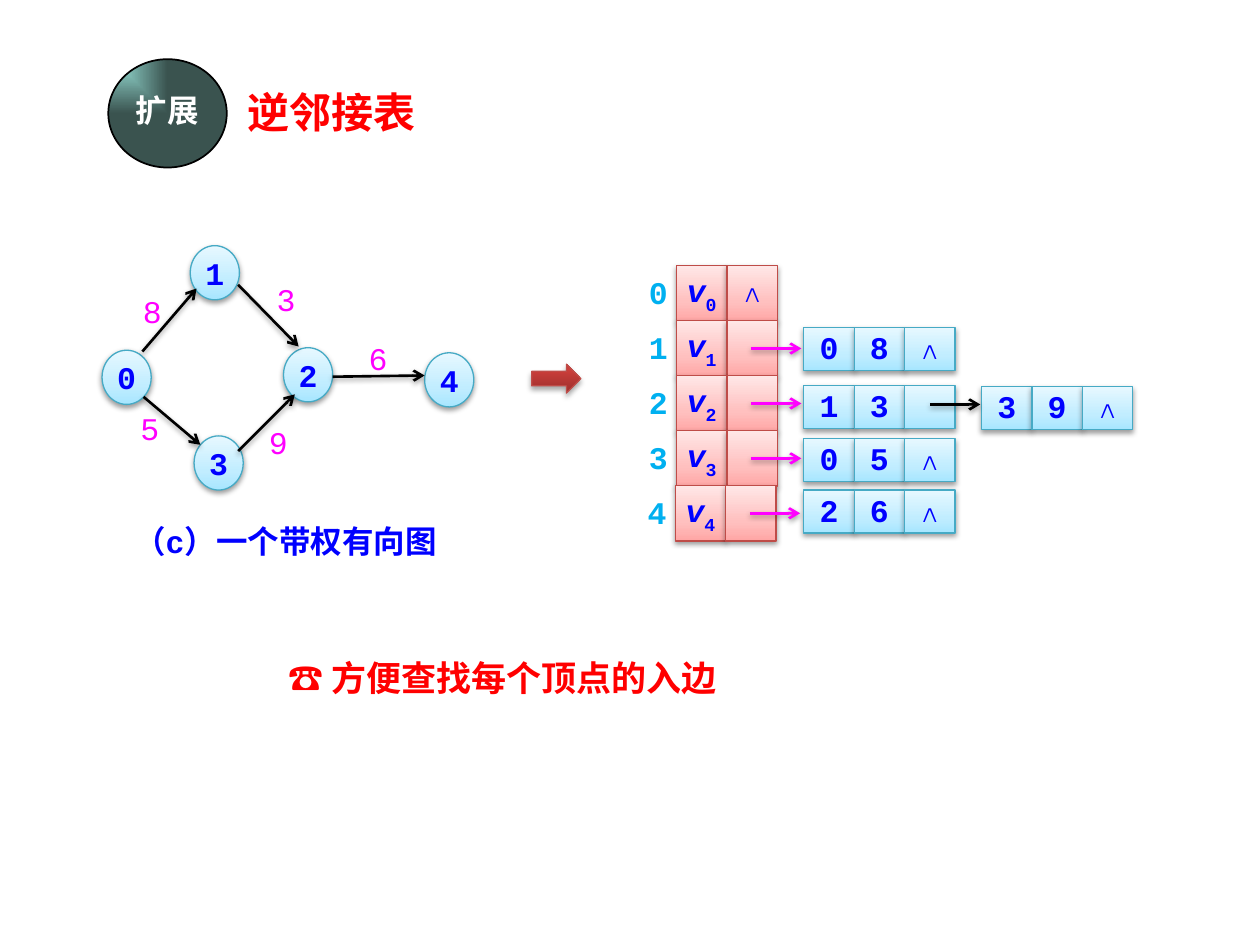
import pptx
import pptx.dml.color
import pptx.enum.shapes
import pptx.enum.text
import pptx.oxml
import pptx.oxml.ns
import pptx.util
from lxml import etree
from pptx.util import Inches

COLORS = {
    "white": "FFFFFF", "black": "000000", "red": "FF0000", "blue": "0000FF",
    "magenta": "FF00FF", "sky": "00B0F0",
    "vertex_line": "BF4C48", "record_line": "46AAC5",
}
GRADIENTS = {
    "vertex": [(0, "FFA6A5"), (35, "FFC0BF"), (100, "FFE7E7")],
    "record": [(0, "A7E6FF"), (35, "C1EDFF"), (100, "E7F8FF")],
    "arrow": [(0, "9C2F2D"), (80, "CB3E3A"), (100, "CE3B37")],
    "badge": [(0, "9CE6DD"), (100, "3A534F")],
}
UPWARD = '<a:lin ang="16200000" scaled="0"/>'
FROM_CORNER = '<a:path path="rect"><a:fillToRect r="100000" b="100000"/></a:path>'
MONO, CJK = "Courier New", "Noto Sans CJK SC"
SHAPES = pptx.enum.shapes.MSO_SHAPE
CENTER = pptx.enum.text.PP_ALIGN.CENTER
NIL = "∧"
CELL_WIDTH, VERTEX_HEIGHT, RECORD_HEIGHT = 0.4, 0.44, 0.34
TABLE_TOP, ROW_PITCH = 2.11, 0.436


def rgb(name):
    return pptx.dml.color.RGBColor.from_string(COLORS[name])


def add_shadow(element, alpha=38, distance=1.6):
    """Put a soft downward shadow on a shape or connector element."""
    properties = element.spPr
    for old in properties.findall(pptx.oxml.ns.qn("a:effectLst")):
        properties.remove(old)
    properties.append(pptx.oxml.parse_xml(
        f'<a:effectLst {pptx.oxml.ns.nsdecls("a")}>'
        f'<a:outerShdw blurRad="{pptx.util.Pt(3.1)}" dist="{pptx.util.Pt(distance)}" '
        f'dir="5400000" rotWithShape="0"><a:srgbClr val="000000">'
        f'<a:alpha val="{alpha * 1000}"/></a:srgbClr></a:outerShdw></a:effectLst>'))


def fill_gradient(shape, stops, direction=UPWARD):
    marks = "".join(f'<a:gs pos="{position * 1000}"><a:srgbClr val="{color}"/></a:gs>'
                    for position, color in stops)
    geometry = shape._element.spPr.find(pptx.oxml.ns.qn("a:prstGeom"))
    geometry.addnext(pptx.oxml.parse_xml(
        f'<a:gradFill {pptx.oxml.ns.nsdecls("a")} rotWithShape="1">'
        f'<a:gsLst>{marks}</a:gsLst>{direction}</a:gradFill>'))


def write_text(shape, text, color="blue", size=18, font=MONO, bold=True, italic=False,
               subscript="", align=CENTER, spacing=None, margins=(0, 0, 0, 0),
               anchor=pptx.enum.text.MSO_ANCHOR.TOP, wrap=True):
    frame = shape.text_frame
    frame.word_wrap = wrap
    frame.vertical_anchor = anchor
    (frame.margin_left, frame.margin_top,
     frame.margin_right, frame.margin_bottom) = map(Inches, margins)
    paragraph = frame.paragraphs[0]
    paragraph.alignment = align
    if spacing:
        paragraph.line_spacing = spacing
    for part, lowered in ((text, False), (subscript, True)):
        if not part:
            continue
        run = paragraph.add_run()
        run.text = part
        run.font.size = pptx.util.Pt(size)
        run.font.name = font
        run.font.bold = bold
        run.font.italic = italic and not lowered
        run.font.color.rgb = rgb(color)
        run_properties = run._r.get_or_add_rPr()
        east_asian = etree.SubElement(run_properties, pptx.oxml.ns.qn("a:ea"))
        east_asian.set("typeface", CJK)
        if lowered:
            run_properties.set("baseline", "-30000")


def add_gradient_shape(slide, kind, box, gradient, line, width=0.75, direction=UPWARD):
    shape = slide.shapes.add_shape(kind, *map(Inches, box))
    fill_gradient(shape, GRADIENTS[gradient], direction)
    shape.line.color.rgb = rgb(line)
    shape.line.width = pptx.util.Pt(width)
    shape.shadow.inherit = False
    return shape


def add_label(slide, box, text, **text_format):
    """Add text on a plain white rectangle."""
    shape = slide.shapes.add_shape(SHAPES.RECTANGLE, *map(Inches, box))
    shape.fill.solid()
    shape.fill.fore_color.rgb = rgb("white")
    shape.line.fill.background()
    shape.shadow.inherit = False
    write_text(shape, text, **text_format)


def add_text_box(slide, box, text, **text_format):
    write_text(slide.shapes.add_textbox(*map(Inches, box)), text, **text_format)


def add_arrow(slide, start, end, color="black"):
    connector = slide.shapes.add_connector(
        pptx.enum.shapes.MSO_CONNECTOR.STRAIGHT, *map(Inches, start + end))
    connector.line.color.rgb = rgb(color)
    connector.line.width = pptx.util.Pt(1.5)
    tail = etree.SubElement(connector.line._get_or_add_ln(), pptx.oxml.ns.qn("a:tailEnd"))
    tail.set("type", "arrow")
    add_shadow(connector._element)


def add_vertex_row(slide, index, left, empty):
    """Add the index, the vertex cell and the pointer cell of one table row."""
    top = TABLE_TOP + index * ROW_PITCH
    add_label(slide, (left - 0.25, top + 0.06, 0.21, 0.28), str(index), color="sky")
    for column, text in enumerate(("v", NIL if empty else "")):
        cell = add_gradient_shape(
            slide, SHAPES.RECTANGLE,
            (left + column * CELL_WIDTH, top, CELL_WIDTH, VERTEX_HEIGHT),
            "vertex", "vertex_line")
        add_shadow(cell._element)
        if text:
            write_text(cell, text, italic=column == 0, margins=(0, 0.04, 0, 0),
                       subscript=str(index) if column == 0 else "")
    if not empty:
        middle = top + VERTEX_HEIGHT / 2
        add_arrow(slide, (left + 0.59, middle), (left + 0.99, middle), "magenta")


def add_record(slide, left, top, texts):
    for column, text in enumerate(texts):
        cell = add_gradient_shape(
            slide, SHAPES.RECTANGLE,
            (left + column * CELL_WIDTH, top, CELL_WIDTH, RECORD_HEIGHT),
            "record", "record_line")
        add_shadow(cell._element)
        if text:
            write_text(cell, text, spacing=pptx.util.Pt(22))


def add_node(slide, left, top, text):
    node = add_gradient_shape(slide, SHAPES.OVAL, (left, top, 0.39, 0.43),
                              "record", "record_line")
    add_shadow(node._element)
    write_text(node, text)


def add_inverse_adjacency_list(slide):
    for index in range(5):
        add_vertex_row(slide, index, 5.36 if index == 4 else 5.37, index == 0)
    for left, top, texts in ((6.38, 2.6, ("0", "8", NIL)), (6.38, 3.06, ("1", "3", "")),
                             (6.38, 3.48, ("0", "5", NIL)), (6.38, 3.89, ("2", "6", NIL)),
                             (7.79, 3.07, ("3", "9", NIL))):
        add_record(slide, left, top, texts)
    add_arrow(slide, (7.38, 3.21), (7.78, 3.21))


def add_weighted_graph(slide):
    edges = (((1.89, 3.58), (2.34, 3.13)), ((1.14, 3.15), (1.59, 3.53)),
             ((1.89, 2.26), (2.37, 2.75)), ((1.13, 2.79), (1.56, 2.29)),
             ((2.64, 2.99), (3.37, 2.98)))
    nodes = ((1.51, 1.95, "1"), (0.81, 2.78, "0"), (1.54, 3.46, "3"),
             (2.25, 2.76, "2"), (3.37, 2.8, "4"))
    weights = ((2.06, 3.36, "9"), (1.04, 3.25, "5"), (1.06, 2.32, "8"),
               (2.12, 2.22, "3"), (2.85, 2.69, "6"))
    for left, top, text in nodes:
        add_node(slide, left, top, text)
    for start, end in edges:
        add_arrow(slide, start, end)
    for left, top, text in weights:
        add_text_box(slide, (left, top, 0.3, 0.26), text, color="magenta", bold=False)
    add_label(slide, (1.02, 4.14, 2.49, 0.34), "（c）一个带权有向图")


def main():
    presentation = pptx.Presentation()
    presentation.slide_width, presentation.slide_height = Inches(10), Inches(7.5)
    slide = presentation.slides.add_slide(presentation.slide_layouts[6])
    heading = {"color": "red", "align": pptx.enum.text.PP_ALIGN.LEFT,
               "margins": (0.1, 0.05, 0.1, 0.05)}

    add_text_box(slide, (1.87, 0.64, 1.8, 0.5), "逆邻接表", size=24, font=CJK, **heading)
    add_inverse_adjacency_list(slide)
    add_weighted_graph(slide)
    block_arrow = add_gradient_shape(slide, SHAPES.RIGHT_ARROW, (4.22, 2.89, 0.39, 0.23),
                                     "arrow", "vertex_line")
    add_shadow(block_arrow._element, alpha=35, distance=1.8)
    badge = add_gradient_shape(slide, SHAPES.OVAL, (0.86, 0.47, 0.94, 0.86),
                               "badge", "black", width=1, direction=FROM_CORNER)
    write_text(badge, "扩展", color="white", font=CJK, spacing=0.8, wrap=False,
               anchor=pptx.enum.text.MSO_ANCHOR.MIDDLE, margins=(0.1, 0.05, 0.1, 0.05))
    add_text_box(slide, (2.19, 5.16, 4.54, 0.44), "☎ 方便查找每个顶点的入边", size=20, **heading)
    presentation.save("out.pptx")


if __name__ == "__main__":
    main()
